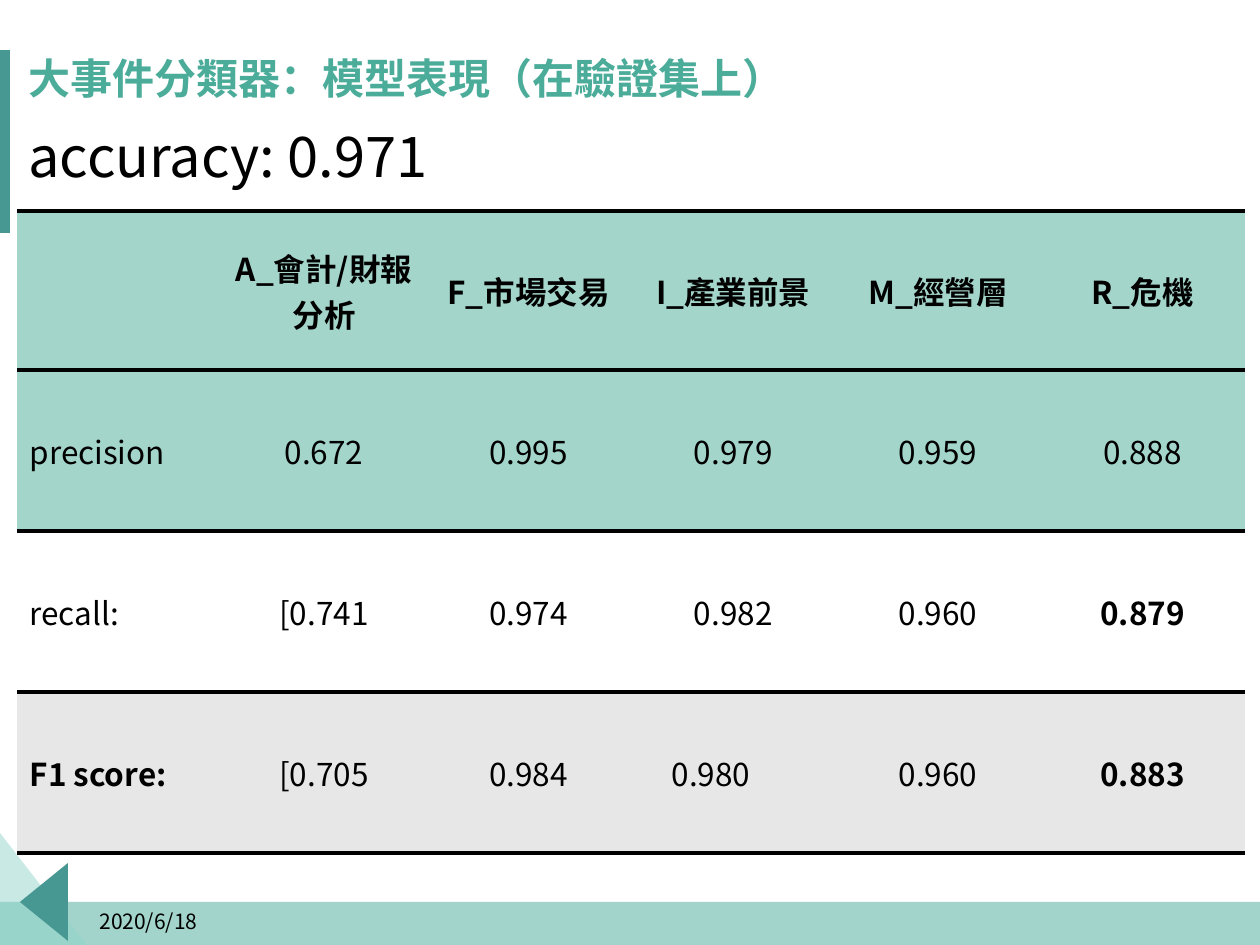
from lxml import etree
from pptx import Presentation
from pptx.dml.color import RGBColor
from pptx.enum.shapes import MSO_SHAPE
from pptx.enum.text import MSO_ANCHOR, PP_ALIGN
from pptx.oxml.ns import qn
from pptx.util import Pt

PX = 7257.6  # EMU per px, at 126 px to the inch
W, H = 1260, 945
LEFT, CENTER = PP_ALIGN.LEFT, PP_ALIGN.CENTER
TOP, MIDDLE = MSO_ANCHOR.TOP, MSO_ANCHOR.MIDDLE

THEME = {
    "teal": "4AAC99", "mint": "92D4CB", "deep": "479793", "ink": "000000",
    "title": {"name": "Noto Sans CJK TC", "size": 24, "bold": True, "color": "4AAC99"},
    "date": {"name": "Noto Sans CJK TC", "size": 12, "bold": False, "color": "000000"},
    "metric": {"name": "Noto Sans CJK SC", "size": 32, "bold": False, "color": "000000"},
    "cell": {"name": "Noto Sans CJK SC", "size": 18, "bold": False, "color": "000000"},
    "row_fills": ["A3D5CB", "A3D5CB", "FFFFFF", "E7E7E7"],
    "rule": 2.25,
}

TITLE = "大事件分類器：模型表現（在驗證集上）"
ACCURACY = "accuracy: 0.971"
DATE = "2020/6/18"
ROWS = [
    ["", "A_會計/財報分析", "F_市場交易", "I_產業前景", "M_經營層", "R_危機"],
    ["precision", "0.672", "0.995", "0.979", "0.959", "0.888"],
    ["recall:", "[0.741", "0.974", "0.982", "0.960", "0.879"],
    ["F1 score:", "[0.705", "0.984", "0.980", "0.960", "0.883"],
]
BOLD_CELLS = {(0, c) for c in range(6)} | {(2, 5), (3, 0), (3, 5)}
SHIFTED_CELL, SHIFTED_MARGIN = (3, 3), 57
TABLE_X, TABLE_Y, TABLE_W = 17, 211, 1228
ROW_HEIGHTS = [159, 161, 161, 161]


def px(*values):
    return [round(v * PX) for v in values]


def paint(shape, color, alpha=None):
    shape.shadow.inherit = False
    shape.line.fill.background()
    shape.fill.solid()
    shape.fill.fore_color.rgb = RGBColor.from_string(color)
    if alpha:
        clr = shape.fill._xPr.find(".//" + qn("a:srgbClr"))
        etree.SubElement(clr, qn("a:alpha"), val=str(alpha * 1000))


def add_bar(s, box, color, alpha=None):
    paint(s.shapes.add_shape(MSO_SHAPE.RECTANGLE, *px(*box)), color, alpha)


def add_polygon(s, points, color, alpha=None):
    builder = s.shapes.build_freeform(*points[0], scale=PX)
    builder.add_line_segments(points[1:], close=True)
    paint(builder.convert_to_shape(), color, alpha)


def write(tf, text, style, align=LEFT, **changes):
    p = tf.paragraphs[0]
    p.alignment = align
    r = p.add_run()
    r.text = text
    look = {**style, **changes}
    for key in ("name", "bold"):
        setattr(r.font, key, look[key])
    r.font.size = Pt(look["size"])
    r.font.color.rgb = RGBColor.from_string(look["color"])
    etree.SubElement(r._r.get_or_add_rPr(), qn("a:ea"), typeface=look["name"])
    return p


def add_text(s, box, text, style, anchor):
    tf = s.shapes.add_textbox(*px(*box)).text_frame
    tf.word_wrap = True
    tf.vertical_anchor = anchor
    write(tf, text, style)


def set_borders(cell):
    """Rule the top and bottom of a cell and leave its sides open."""
    tc_pr = cell._tc.get_or_add_tcPr()
    for side in ("lnL", "lnR"):
        etree.SubElement(etree.SubElement(tc_pr, qn("a:" + side)), qn("a:noFill"))
    for side in ("lnT", "lnB"):
        ln = etree.SubElement(tc_pr, qn("a:" + side), w=str(Pt(THEME["rule"])))
        fill = etree.SubElement(ln, qn("a:solidFill"))
        etree.SubElement(fill, qn("a:srgbClr"), val=THEME["ink"])


def add_scores(s):
    n_cols = len(ROWS[0])
    box = px(TABLE_X, TABLE_Y, TABLE_W, sum(ROW_HEIGHTS))
    table = s.shapes.add_table(len(ROWS), n_cols, *box).table
    table.first_row = table.horz_banding = False
    for col in table.columns:
        col.width = px(TABLE_W / n_cols)[0]
    for i, (row, height) in enumerate(zip(ROWS, ROW_HEIGHTS)):
        table.rows[i].height = px(height)[0]
        for j, text in enumerate(row):
            cell = table.cell(i, j)
            cell.vertical_anchor = MIDDLE
            set_borders(cell)
            cell.fill.solid()
            cell.fill.fore_color.rgb = RGBColor.from_string(THEME["row_fills"][i])
            if text:
                write(cell.text_frame, text, THEME["cell"],
                      CENTER if j else LEFT, bold=(i, j) in BOLD_CELLS)
    table.cell(*SHIFTED_CELL).margin_right = px(SHIFTED_MARGIN)[0]


def main():
    prs = Presentation()
    prs.slide_width, prs.slide_height = px(W, H)
    s = prs.slides.add_slide(prs.slide_layouts[5])

    add_bar(s, (0, 902, W, 43), THEME["teal"], 51)
    add_polygon(s, [(0, 833), (87, H), (0, H)], THEME["mint"], 50)
    add_polygon(s, [(68, 863), (68, 941), (20, 902)], THEME["deep"])
    add_bar(s, (0, 50, 10, 183), THEME["deep"])

    title = s.shapes.title
    title.left, title.top, title.width, title.height = px(16, 39, 953, 83)
    title.text_frame.vertical_anchor = MIDDLE
    write(title.text_frame, TITLE, THEME["title"]).line_spacing = 0.9

    add_text(s, (87, 897, 284, 48), DATE, THEME["date"], MIDDLE)
    add_scores(s)
    add_text(s, (16, 115, 451, 118), ACCURACY, THEME["metric"], TOP)
    prs.save("out.pptx")


if __name__ == "__main__":
    main()
